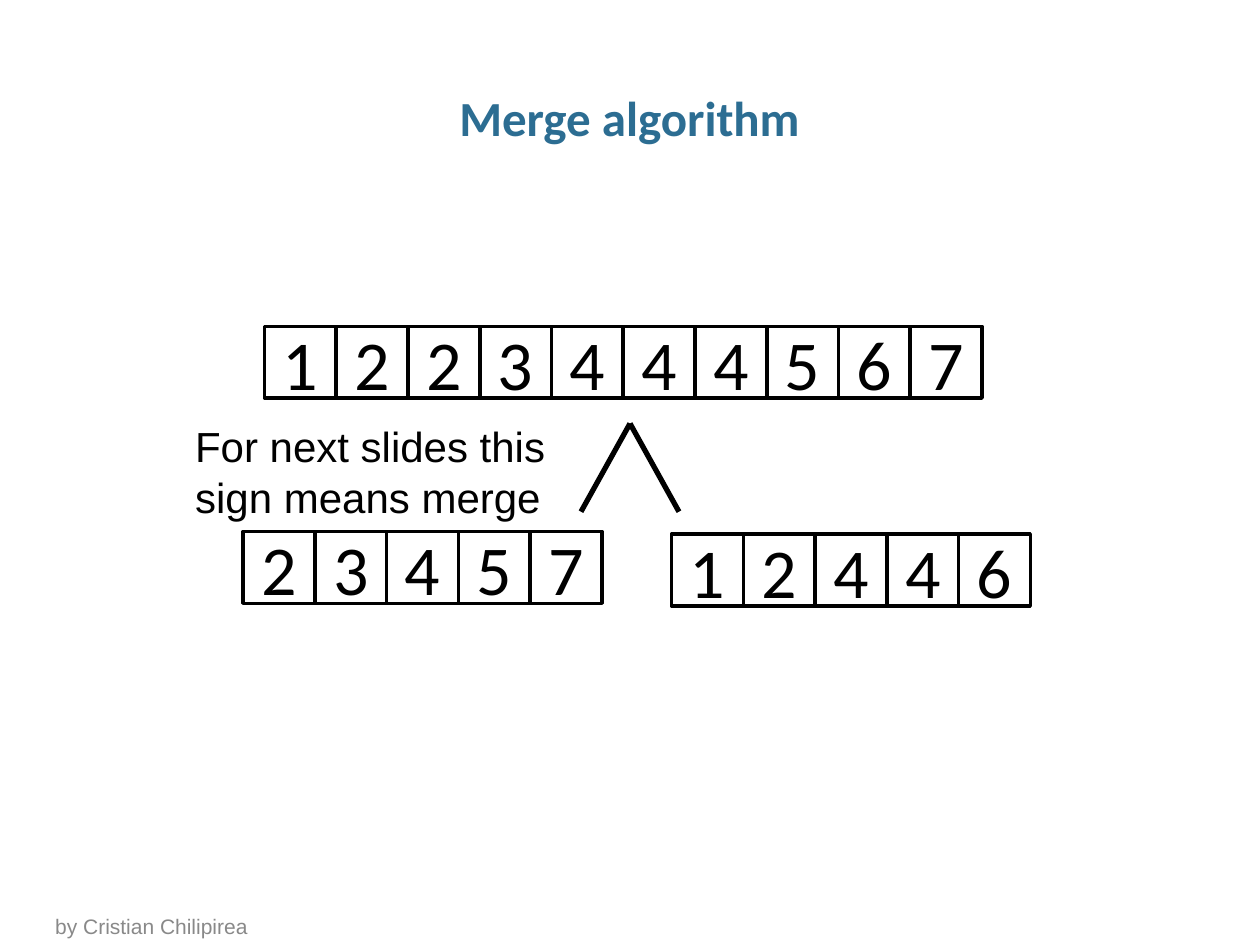
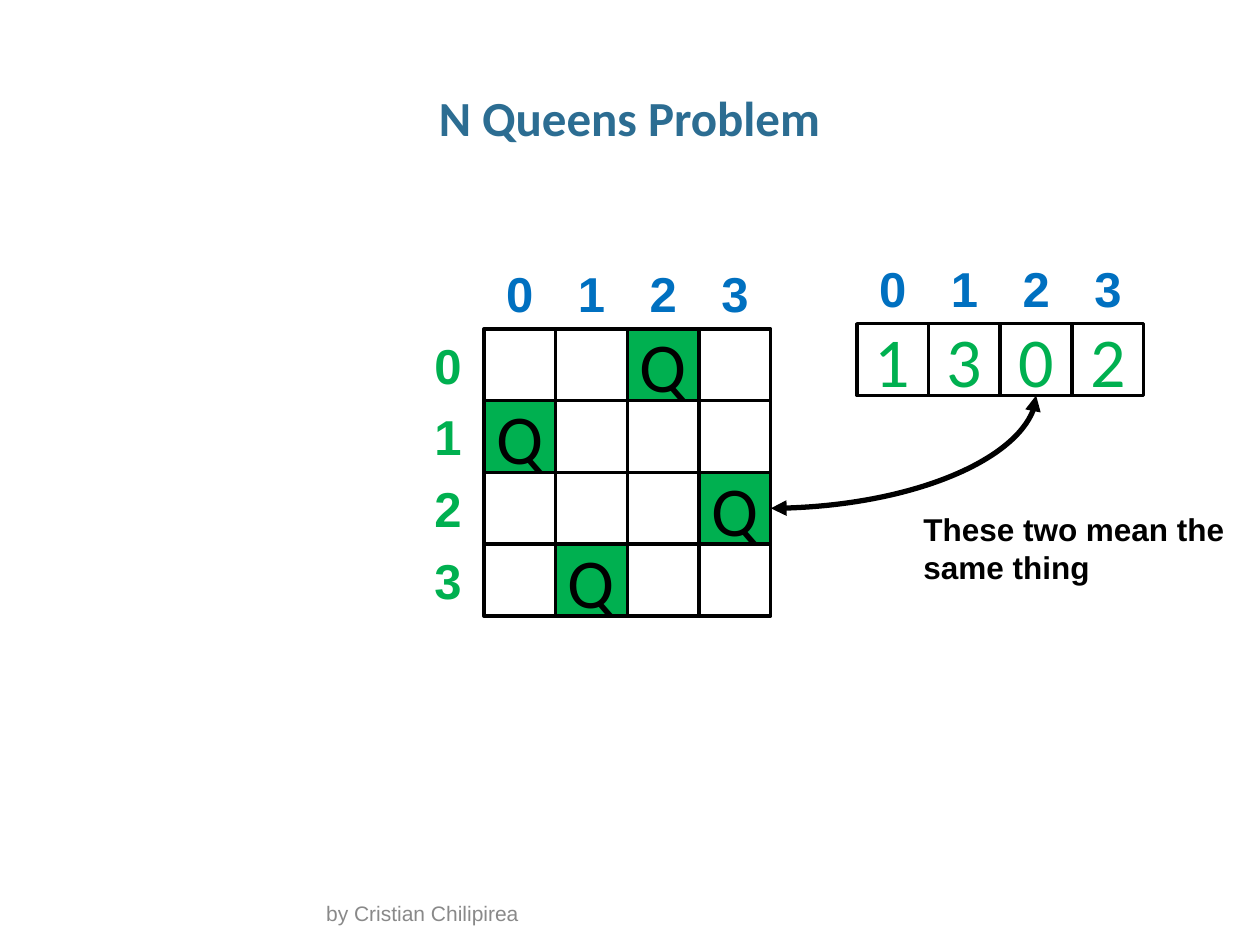
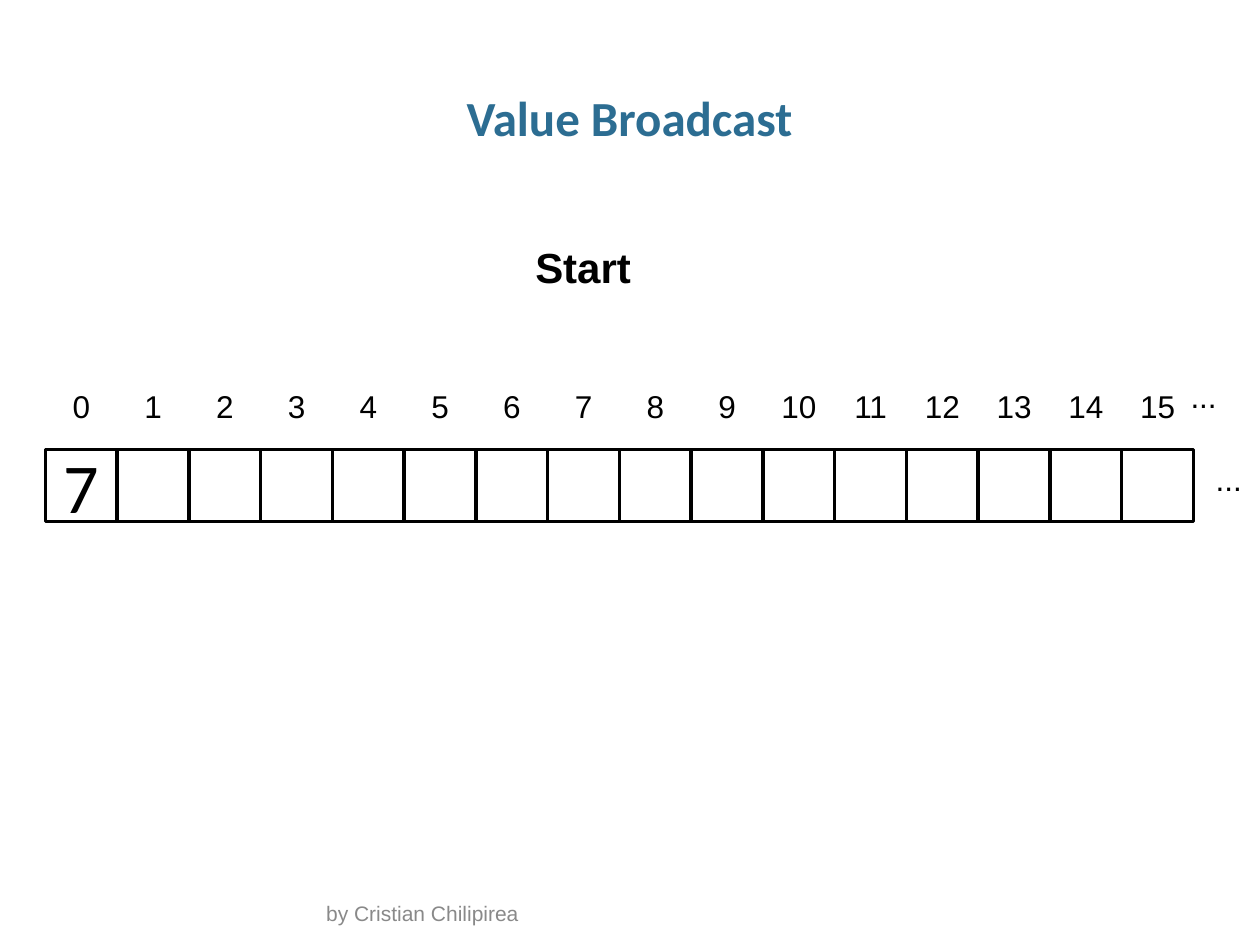
from dataclasses import dataclass

from lxml import etree
from pptx import Presentation
from pptx.dml.color import RGBColor
from pptx.enum.shapes import MSO_CONNECTOR, MSO_SHAPE
from pptx.enum.text import MSO_ANCHOR, MSO_AUTO_SIZE, PP_ALIGN
from pptx.oxml.ns import qn
from pptx.util import Pt

RECT = MSO_SHAPE.RECTANGLE
STRAIGHT, CURVE = MSO_CONNECTOR.STRAIGHT, MSO_CONNECTOR.CURVE
LEFT, CENTER = PP_ALIGN.LEFT, PP_ALIGN.CENTER
TOP, MIDDLE, BOTTOM = MSO_ANCHOR.TOP, MSO_ANCHOR.MIDDLE, MSO_ANCHOR.BOTTOM
NO_FIT = MSO_AUTO_SIZE.NONE
SIDE_BOTTOM, SIDE_RIGHT = 2, 3
TITLE_ONLY = 5
CELL = 41  # side of an array cell, in points


@dataclass(frozen=True)
class Theme:
    head_font: str = "Calibri"
    body_font: str = "Arial"
    ink: str = "000000"
    title: str = "2C6D92"
    footer: str = "898989"
    green: str = "00B050"
    blue: str = "0070C0"
    cell_size: int = 40
    title_size: int = 28
    index_size: int = 28
    note_size: int = 24
    small_size: int = 18
    footer_size: int = 12
    cell_line: int = 2
    link_line: int = 3


T = Theme()


def rgb(code):
    return RGBColor.from_string(code)


def write(tf, text, size=T.small_size, color=T.ink, font=T.body_font,
          bold=False, align=LEFT, anchor=TOP, wrap=True):
    """Fill a text frame with one formatted paragraph."""
    tf.word_wrap = wrap
    tf.vertical_anchor = anchor
    p = tf.paragraphs[0]
    p.alignment = align
    r = p.add_run()
    r.text = text
    r.font.size, r.font.name, r.font.bold = Pt(size), font, bold
    r.font.color.rgb = rgb(color)
    return p


def add_text(s, box, text, **fmt):
    tb = s.shapes.add_textbox(*map(Pt, box))
    write(tb.text_frame, text, **fmt)


def add_link(s, kind, begin, end, arrows=False):
    """Draw a connector without shadow, with arrowheads at both ends if asked."""
    cx = s.shapes.add_connector(kind, *map(Pt, begin + end))
    cx.line.color.rgb = rgb(T.ink)
    cx.line.width = Pt(T.link_line)
    if arrows:
        ln = cx.line._get_or_add_ln()
        for tag in ("a:headEnd", "a:tailEnd"):
            etree.SubElement(ln, qn(tag), type="triangle")
    etree.SubElement(cx._element.spPr, qn("a:effectLst"))
    return cx


# Shared frame: title and footer
def add_slide(prs, title, footer_box):
    s = prs.slides.add_slide(prs.slide_layouts[TITLE_ONLY])
    sp = s.shapes.title
    sp.left, sp.top, sp.width, sp.height = map(Pt, (24.5, 49, 670.3, 36))
    tf = sp.text_frame
    tf.auto_size = NO_FIT
    tf.margin_left = tf.margin_right = 0
    tf.margin_top = tf.margin_bottom = Pt(3.6)
    p = write(tf, title, size=T.title_size, color=T.title,
              font=T.head_font, bold=True, align=CENTER)
    p.line_spacing = 0.95
    add_text(s, footer_box, "by Cristian Chilipirea", size=T.footer_size,
             color=T.footer, anchor=BOTTOM)
    return s


# Array of square cells; a space stands for an empty cell
def add_array(s, left, top, values, color=T.ink, fill=None):
    cells = []
    for i, value in enumerate(values):
        sp = s.shapes.add_shape(RECT, Pt(left + i * CELL), Pt(top), Pt(CELL), Pt(CELL))
        sp.shadow.inherit = False
        sp.line.color.rgb = rgb(T.ink)
        sp.line.width = Pt(T.cell_line)
        filled = value != " "
        if filled and fill:
            sp.fill.solid()
            sp.fill.fore_color.rgb = rgb(fill)
        else:
            sp.fill.background()
        if filled:
            write(sp.text_frame, value, size=T.cell_size, color=color,
                  font=T.head_font, align=CENTER, anchor=MIDDLE)
        cells.append(sp)
    return cells


# Index numbers, one per cell, running across or down
def add_indices(s, left, top, count, down=False, height=CELL, **fmt):
    for i in range(count):
        x, y = (left, top + i * CELL) if down else (left + i * CELL, top)
        add_text(s, (x, y, CELL, height), str(i), align=CENTER, wrap=False, **fmt)


# Chessboard with column and row indices
def add_board(s, left, top, rows):
    index = dict(size=T.index_size, bold=True)
    add_indices(s, left, top - CELL, len(rows[0]), color=T.blue, **index)
    add_indices(s, left - CELL, top, len(rows), down=True, color=T.green, **index)
    return [add_array(s, left, top + i * CELL, row, fill=T.green)
            for i, row in enumerate(rows)]


# Merge sign: two legs meeting at the apex
def add_merge_sign(s, left, top, width, height):
    apex = (left + width / 2, top)
    for x in (left, left + width):
        add_link(s, STRAIGHT, (x, top + height), apex)


def merge_slide(prs):
    s = add_slide(prs, "Merge algorithm", (24.5, 520, 530.6, 20))
    add_merge_sign(s, 332, 242, 56, 50.4)
    add_array(s, 151.2, 186.5, "1223444567")
    add_array(s, 139, 303.8, "23457")
    add_array(s, 383.8, 305.3, "12446")
    add_text(s, (104.4, 236.9, 257.8, 65.5),
             "For next slides this sign means merge", size=T.note_size)


def queens_slide(prs, footer_box):
    s = add_slide(prs, "N Queens Problem", footer_box)
    board = add_board(s, 276.5, 188, ["  Q ", "Q   ", "   Q", " Q  "])

    # The same placement as a list of rows by column
    left, top = 489.6, 185
    add_indices(s, left, top - CELL, 4, size=T.index_size, color=T.blue, bold=True)
    solution = add_array(s, left, top, "1302", color=T.green)

    cx = add_link(s, CURVE, (440.5, 290.5), (592.1, 226), arrows=True)
    cx.begin_connect(board[2][3], SIDE_RIGHT)
    cx.end_connect(solution[2], SIDE_BOTTOM)
    cx._element.spPr.find(qn("a:prstGeom")).set("prst", "curvedConnector2")
    add_text(s, (520.6, 288, 198.7, 51), "These two mean the same thing", bold=True)


def broadcast_slide(prs, footer_box):
    s = add_slide(prs, "Value Broadcast", footer_box)
    left, top, count = 26, 257, 16
    add_array(s, left, top, "7".ljust(count))
    add_indices(s, left, top - 39.6, count, height=29)
    for x, y in ((673.2, 211.7), (687.6, 259.2)):
        add_text(s, (x, y, 29.5, 29), "...", wrap=False)
    add_text(s, (298.8, 134.6, 69.8, 36), "Start", size=T.note_size,
             bold=True, wrap=False)


def main():
    prs = Presentation()
    prs.slide_width, prs.slide_height = Pt(720), Pt(540)
    center_footer = (179.3, 515.5, 361.4, 17.3)
    merge_slide(prs)
    queens_slide(prs, center_footer)
    broadcast_slide(prs, center_footer)
    prs.save("out.pptx")


if __name__ == "__main__":
    main()
